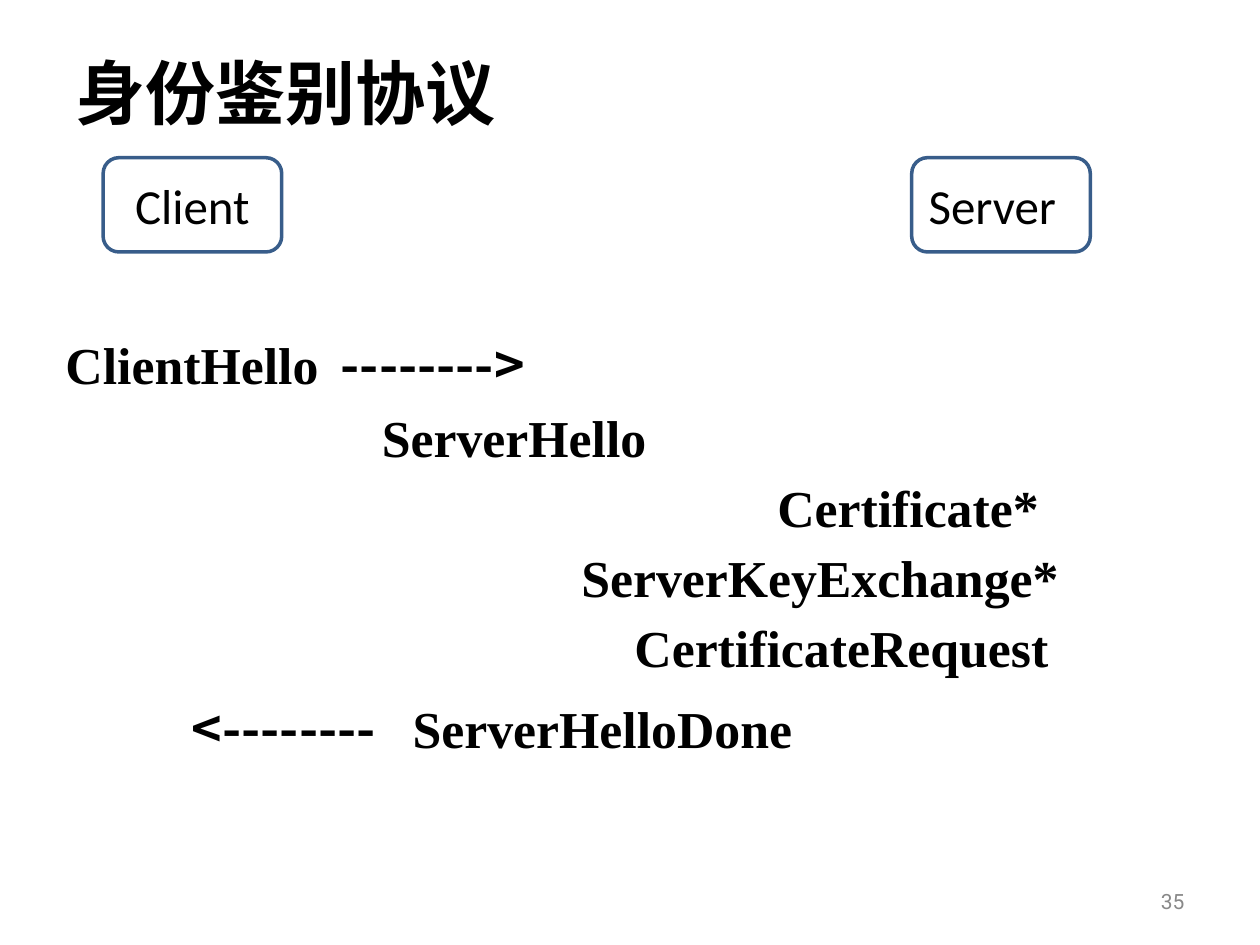
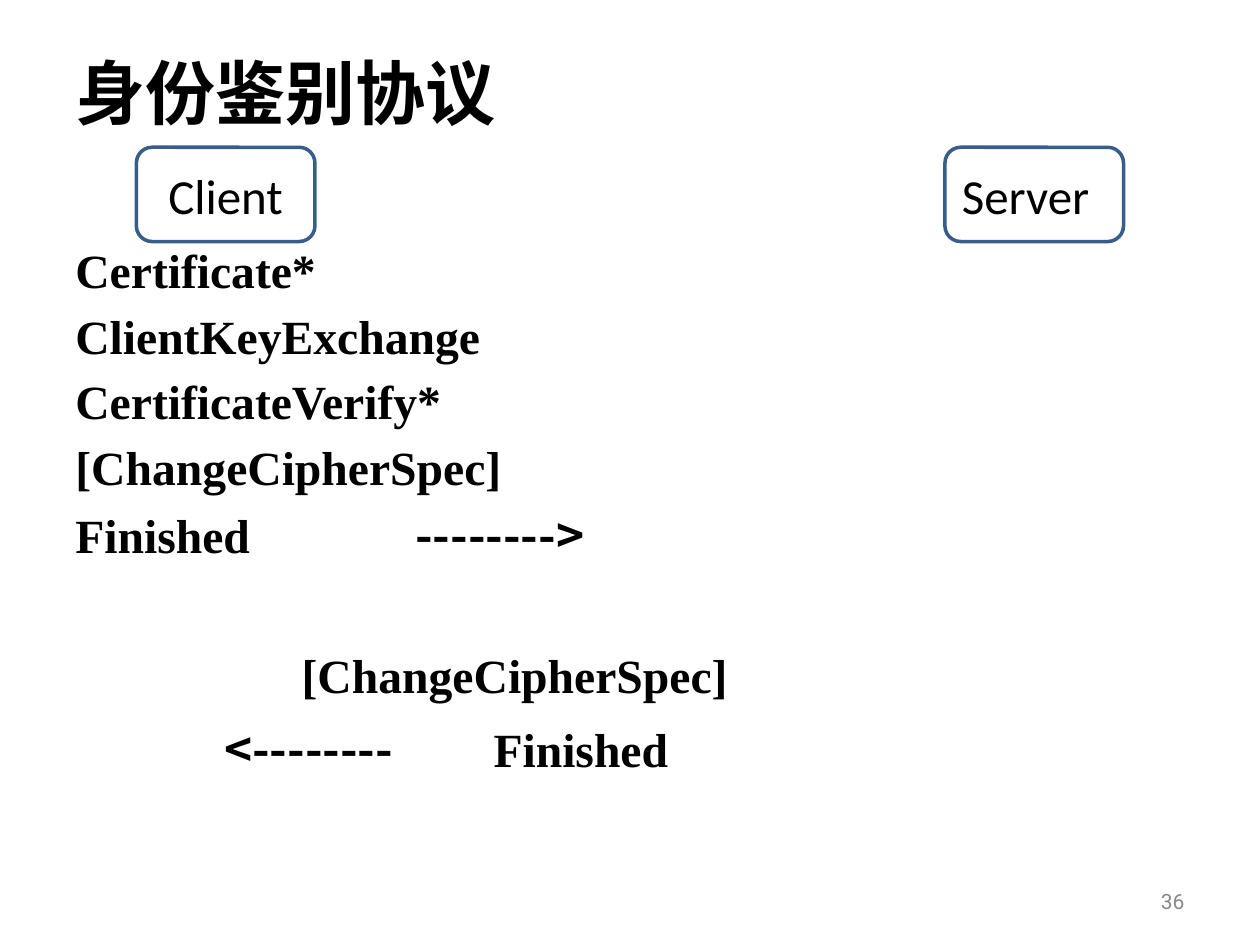
from dataclasses import dataclass

from lxml import etree
from pptx import Presentation
from pptx.dml.color import RGBColor
from pptx.enum import shapes, text
from pptx.oxml import ns
from pptx.util import Cm, Pt

BLACK = RGBColor(0x00, 0x00, 0x00)
GREY = RGBColor(0x89, 0x89, 0x89)
BLUE = RGBColor(0x38, 0x5D, 0x8A)
CJK = "Noto Sans CJK SC"
SERIF = "Times New Roman"
SANS = "Calibri"
TITLE = "身份鉴别协议"
RIGHT_ARROW = "-------->"
LEFT_ARROW = "<--------"
SERVER_OFFSET = 16.3


@dataclass(frozen=True)
class Message:
    """One line of the exchange: (offset in cm, words) pieces, and points of space before."""
    pieces: tuple[tuple[float, str], ...]
    before: float


@dataclass(frozen=True)
class Exchange:
    number: int
    client_left: float
    party_top: float
    left: float
    top: float
    width: float
    height: float
    size: float
    line: float
    messages: tuple[Message, ...]


EXCHANGES = (
    Exchange(35, 2.08, 3.18, 1.07, 6.78, 22.2, 10, 29.6, 30, (
        Message(((0, "ClientHello"), (5.55, RIGHT_ARROW)), 0),
        Message(((6.38, "ServerHello"),), 11.7),
        Message(((14.35, "Certificate*"),), 10),
        Message(((10.4, "ServerKeyExchange*"),), 10),
        Message(((11.47, "CertificateRequest"),), 10),
        Message(((2.55, LEFT_ARROW), (7, "ServerHelloDone")), 16.3),
    )),
    Exchange(36, 2.75, 2.97, 1.27, 4.9, 22.86, 12.1, 27.2, 28, (
        Message(((0, "Certificate*"),), 0),
        Message(((0, "ClientKeyExchange"),), 9.4),
        Message(((0, "CertificateVerify*"),), 9.4),
        Message(((0, "[ChangeCipherSpec]"),), 9.4),
        Message(((0, "Finished"), (6.85, RIGHT_ARROW)), 11),
        Message(((4.56, "[ChangeCipherSpec]"),), 51.8),
        Message(((3, LEFT_ARROW), (8.43, "Finished")), 14.5),
    )),
)


def write(p, words: str, *, size: float, font: str, color: RGBColor = BLACK,
          bold: bool = False, align=text.PP_ALIGN.LEFT) -> None:
    p.alignment = align
    r = p.add_run()
    r.text = words
    r.font.size = Pt(size)
    r.font.name = font
    r.font.bold = bold
    r.font.color.rgb = color
    etree.SubElement(r.font._element, ns.qn("a:ea"), typeface=font)


def set_tabs(p, offsets: list[float]) -> None:
    tabs = etree.SubElement(p._p.get_or_add_pPr(), ns.qn("a:tabLst"))
    for offset in offsets:
        etree.SubElement(tabs, ns.qn("a:tab"), pos=str(int(Cm(offset))), algn="l")


def add_title(slide) -> None:
    sp = slide.shapes.title
    sp.left, sp.top, sp.width, sp.height = Cm(1.27), Cm(0.76), Cm(22.86), Cm(2.16)
    tf = sp.text_frame
    tf.vertical_anchor = text.MSO_ANCHOR.MIDDLE
    write(tf.paragraphs[0], TITLE, size=40, font=CJK, bold=True)


def add_party(slide, name: str, left: float, top: float, align) -> None:
    sp = slide.shapes.add_shape(shapes.MSO_SHAPE.ROUNDED_RECTANGLE,
                                Cm(left), Cm(top), Cm(3.6), Cm(1.9))
    sp.shadow.inherit = False
    sp.fill.background()
    sp.line.color.rgb = BLUE
    sp.line.width = Pt(2)
    tf = sp.text_frame
    tf.vertical_anchor = text.MSO_ANCHOR.MIDDLE
    write(tf.paragraphs[0], name, size=28, font=SANS, align=align)


def add_messages(slide, ex: Exchange) -> None:
    sp = slide.shapes.add_textbox(Cm(ex.left), Cm(ex.top), Cm(ex.width), Cm(ex.height))
    tf = sp.text_frame
    tf.word_wrap = True
    for i, message in enumerate(ex.messages):
        p = tf.add_paragraph() if i else tf.paragraphs[0]
        p.line_spacing = Pt(ex.line)
        if i:
            p.space_before = Pt(message.before)
        offsets = [offset for offset, _ in message.pieces if offset]
        if offsets:
            set_tabs(p, offsets)
        for offset, words in message.pieces:
            font = CJK if words in (LEFT_ARROW, RIGHT_ARROW) else SERIF
            write(p, "\t" + words if offset else words, size=ex.size, font=font, bold=True)


def add_page_number(slide, number: int) -> None:
    sp = slide.shapes.add_textbox(Cm(18.2), Cm(17.65), Cm(5.93), Cm(1.02))
    tf = sp.text_frame
    tf.word_wrap = True
    tf.vertical_anchor = text.MSO_ANCHOR.MIDDLE
    write(tf.paragraphs[0], str(number), size=12, font="Roboto", color=GREY,
          align=text.PP_ALIGN.RIGHT)


def main() -> None:
    prs = Presentation()
    prs.slide_width, prs.slide_height = Cm(25.4), Cm(19.05)
    for ex in EXCHANGES:
        slide = prs.slides.add_slide(prs.slide_layouts.get_by_name("Title Only"))
        add_title(slide)
        add_messages(slide, ex)
        add_page_number(slide, ex.number)
        add_party(slide, "Client", ex.client_left, ex.party_top, text.PP_ALIGN.CENTER)
        add_party(slide, "Server", ex.client_left + SERVER_OFFSET, ex.party_top,
                  text.PP_ALIGN.LEFT)
    prs.save("out.pptx")


if __name__ == "__main__":
    main()
